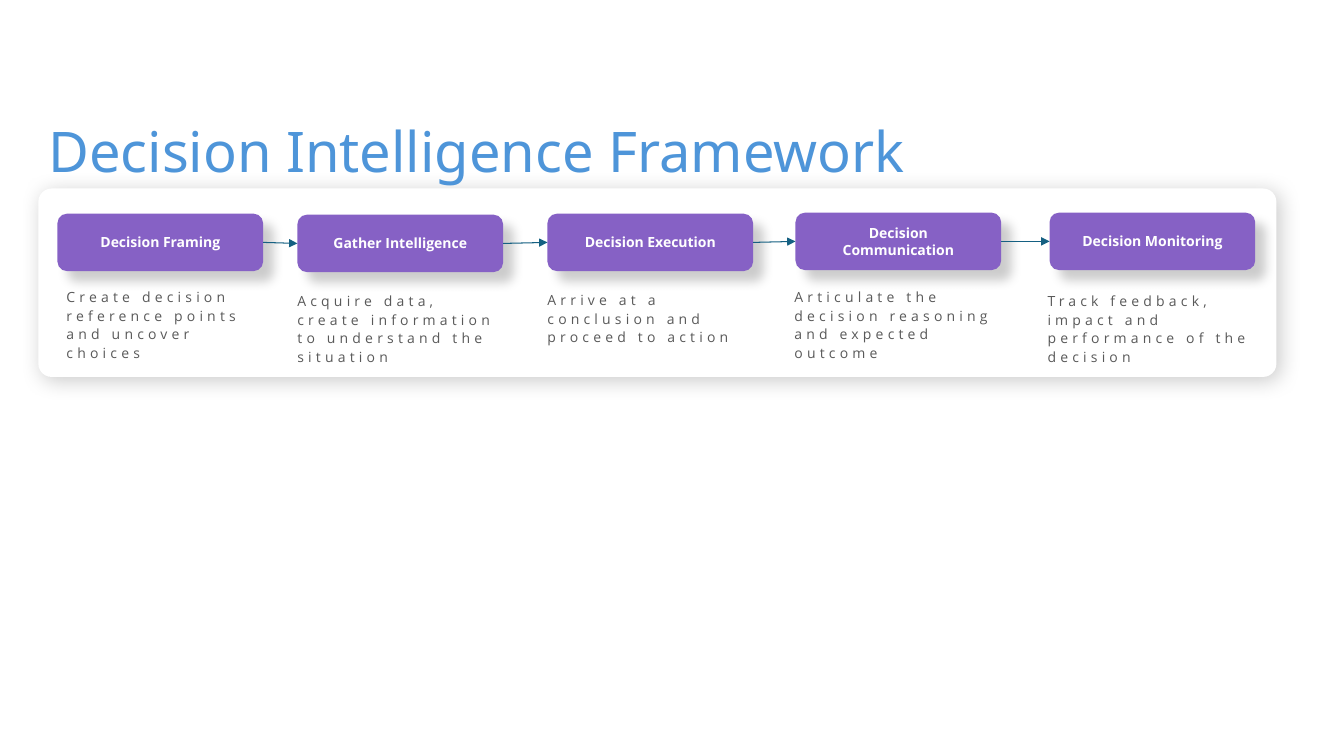
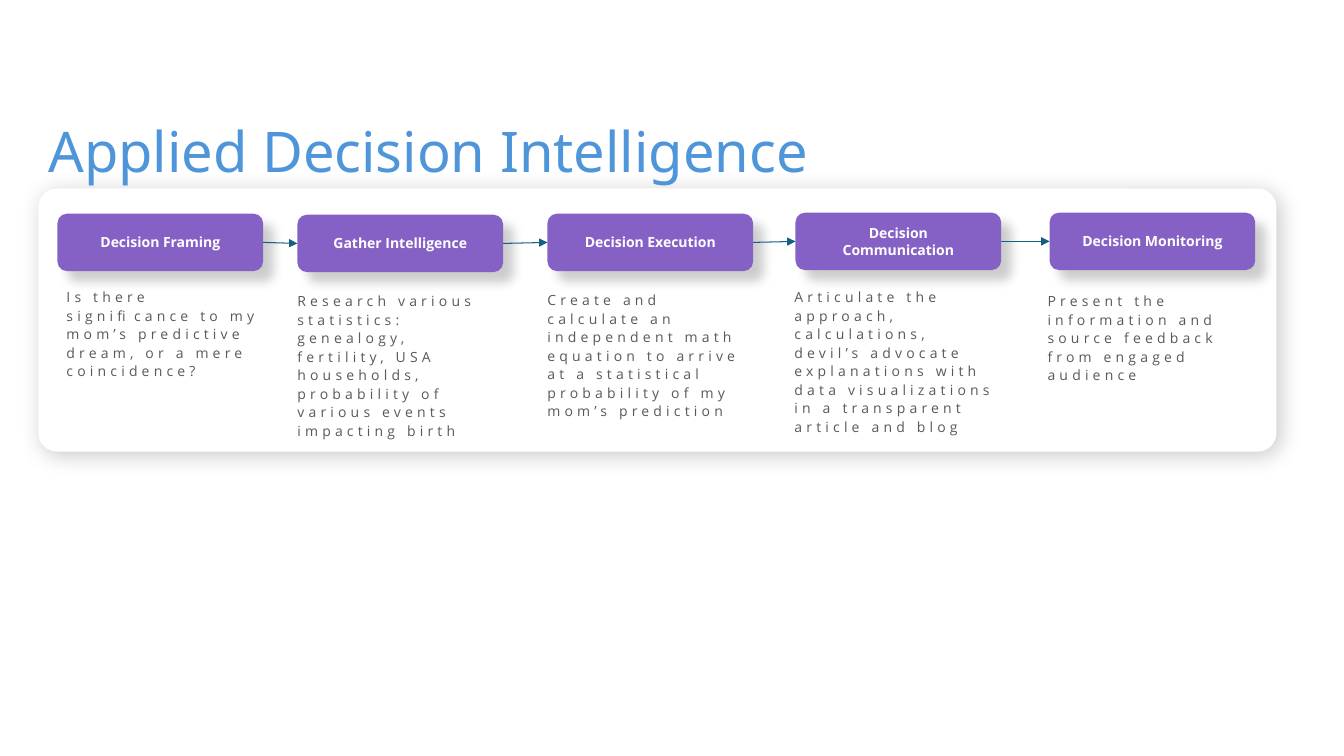
"""Build two slides that show a five-step decision process."""
from itertools import pairwise

from lxml.etree import SubElement
from pptx import Presentation
from pptx.dml.color import RGBColor
from pptx.enum.shapes import MSO_CONNECTOR, MSO_SHAPE
from pptx.enum.text import MSO_ANCHOR, MSO_AUTO_SIZE, PP_ALIGN
from pptx.oxml.ns import qn
from pptx.util import Emu, Pt

EMU_PER_PX = 9144
COLORS = {
    "title": "4E95D9",
    "panel": "FFFFFF",
    "step": "8661C5",
    "step_text": "FFFFFF",
    "caption": "595959",
    "arrow": "156082",
    "shadow": "000000",
}
TITLE_FONT = {"name": "Noto Sans", "size": Pt(40), "bold": False}
STEP_FONT = {"name": "Open Sans", "size": Pt(10), "bold": True}
CAPTION_FONT = {"name": "Open Sans", "size": Pt(10), "bold": False}
FRAME = {"word_wrap": True, "auto_size": MSO_AUTO_SIZE.NONE, "vertical_anchor": MSO_ANCHOR.MIDDLE}
TITLE_FRAME = FRAME | {"margin_left": Pt(7.2), "margin_right": Pt(7.2)}
STEP_FRAME = FRAME | {
    "margin_left": Pt(14.4), "margin_right": Pt(14.4),
    "margin_top": Pt(5.76), "margin_bottom": Pt(5.76),
}
CAPTION_FRAME = {
    "word_wrap": True, "auto_size": MSO_AUTO_SIZE.SHAPE_TO_FIT_TEXT,
    "vertical_anchor": MSO_ANCHOR.TOP,
    "margin_left": 0, "margin_right": 0, "margin_top": 0, "margin_bottom": 0,
}
TITLE_PARA = {"alignment": PP_ALIGN.LEFT, "line_spacing": 0.8}
STEP_PARA = {"alignment": PP_ALIGN.CENTER}
CAPTION_PARA = {"alignment": PP_ALIGN.LEFT, "line_spacing": 1.1, "space_after": Pt(2)}

STEP_WIDTH, STEP_HEIGHT = 204, 57
STEPS = [
    ("Decision Framing", (57, 212), (66, 285, 196)),
    ("Gather Intelligence", (295, 213), (295, 289, 204)),
    ("Decision Execution", (543, 212), (543, 288, 204)),
    ("Decision Communication", (789, 211), (788, 285, 204)),
    ("Decision Monitoring", (1041, 211), (1039, 289, 204)),
]
SLIDES = [
    ("Decision Intelligence Framework", 187, 73, [
        "Create decision reference points and uncover choices",
        "Acquire data, create information to understand the situation",
        "Arrive at a conclusion and proceed to action",
        "Articulate the decision reasoning and expected outcome",
        "Track feedback, impact and performance of the decision",
    ]),
    ("Applied Decision Intelligence", 261, 147, [
        "Is there significance to my mom’s predictive dream, or a mere coincidence?",
        "Research various statistics: genealogy, fertility, USA households, "
        "probability of various events impacting birth",
        "Create and calculate an independent math equation to arrive at a "
        "statistical probability of my mom’s prediction",
        "Articulate the approach, calculations, devil’s advocate explanations with "
        "data visualizations in a transparent article and blog",
        "Present the information and source feedback from engaged audience",
    ]),
]


def px(*lengths):
    """Turn pixel lengths into EMU."""
    return [Emu(length * EMU_PER_PX) for length in lengths]


def rgb(name):
    """Return the named colour."""
    return RGBColor.from_string(COLORS[name])


def apply(target, values):
    """Set each attribute of the target from a dict."""
    for name, value in values.items():
        setattr(target, name, value)


def write(box, text, color, frame_format, para_format, font_format):
    """Fill a box with one formatted paragraph and return its span."""
    frame = box.text_frame
    apply(frame, frame_format)
    para = frame.paragraphs[0]
    apply(para, para_format)
    span = para.add_run()
    span.text = text
    apply(span.font, font_format)
    span.font.color.rgb = rgb(color)
    return span


def add_shadow(box, blur, distance):
    """Give a box a soft shadow towards the lower right."""
    box.shadow.inherit = False
    effects = box._element.spPr.find(qn("a:effectLst"))
    outer = SubElement(effects, qn("a:outerShdw"), blurRad=str(Pt(blur)), dist=str(Pt(distance)),
                       dir="2700000", algn="tl", rotWithShape="0")
    tint = SubElement(outer, qn("a:srgbClr"), val=COLORS["shadow"])
    SubElement(tint, qn("a:alpha"), val="20000")


def add_card(page, place, color, corner, blur, distance):
    """Add a rounded rectangle with a shadow and no outline."""
    box = page.shapes.add_shape(MSO_SHAPE.ROUNDED_RECTANGLE, *px(*place))
    box.adjustments[0] = corner
    box.fill.solid()
    box.fill.fore_color.rgb = rgb(color)
    box.line.fill.background()
    add_shadow(box, blur, distance)
    return box


def add_step(page, name, left, top):
    """Add the named box of one step."""
    box = add_card(page, (left, top, STEP_WIDTH, STEP_HEIGHT), "step", 0.167, 8, 10)
    write(box, name, "step_text", STEP_FRAME, STEP_PARA, STEP_FONT)
    return box


def add_caption(page, text, left, top, width, height):
    """Add the letter-spaced text below a step."""
    box = page.shapes.add_textbox(*px(left, top, width, height))
    span = write(box, text, "caption", CAPTION_FRAME, CAPTION_PARA, CAPTION_FONT)
    span.font._element.set("spc", "300")


def add_arrow(page, start, end):
    """Join two neighbouring steps with an arrow."""
    arrow = page.shapes.add_connector(MSO_CONNECTOR.STRAIGHT, 0, 0, 0, 0)
    arrow.begin_connect(start, 3)
    arrow.end_connect(end, 1)
    arrow.line.color.rgb = rgb("arrow")
    arrow.line.width = Pt(0.75)
    SubElement(arrow.line._get_or_add_ln(), qn("a:tailEnd"), type="triangle")
    SubElement(arrow._element.spPr, qn("a:effectLst"))


def set_title(page, text):
    """Place the title and bring it to the front."""
    title = page.shapes.title
    apply(title, dict(zip(("left", "top", "width", "height"), px(38, 122, 1205, 67))))
    write(title, text, "title", TITLE_FRAME, TITLE_PARA, TITLE_FONT)
    page.shapes._spTree.append(title._element)


def add_process(deck, title, panel_height, caption_height, captions):
    """Add a slide with the five steps and their captions."""
    page = deck.slides.add_slide(deck.slide_layouts[5])
    add_card(page, (38, 187, 1228, panel_height), "panel", 0.071, 15, 3)
    boxes = [add_step(page, name, *corner) for name, corner, _ in STEPS]
    for start, end in pairwise(boxes):
        add_arrow(page, start, end)
    for (_, _, place), text in zip(STEPS, captions):
        add_caption(page, text, *place, caption_height)
    set_title(page, title)


def main():
    """Build and save the deck."""
    deck = Presentation()
    deck.slide_width, deck.slide_height = px(1333, 750)
    for content in SLIDES:
        add_process(deck, *content)
    deck.save("out.pptx")


if __name__ == "__main__":
    main()
